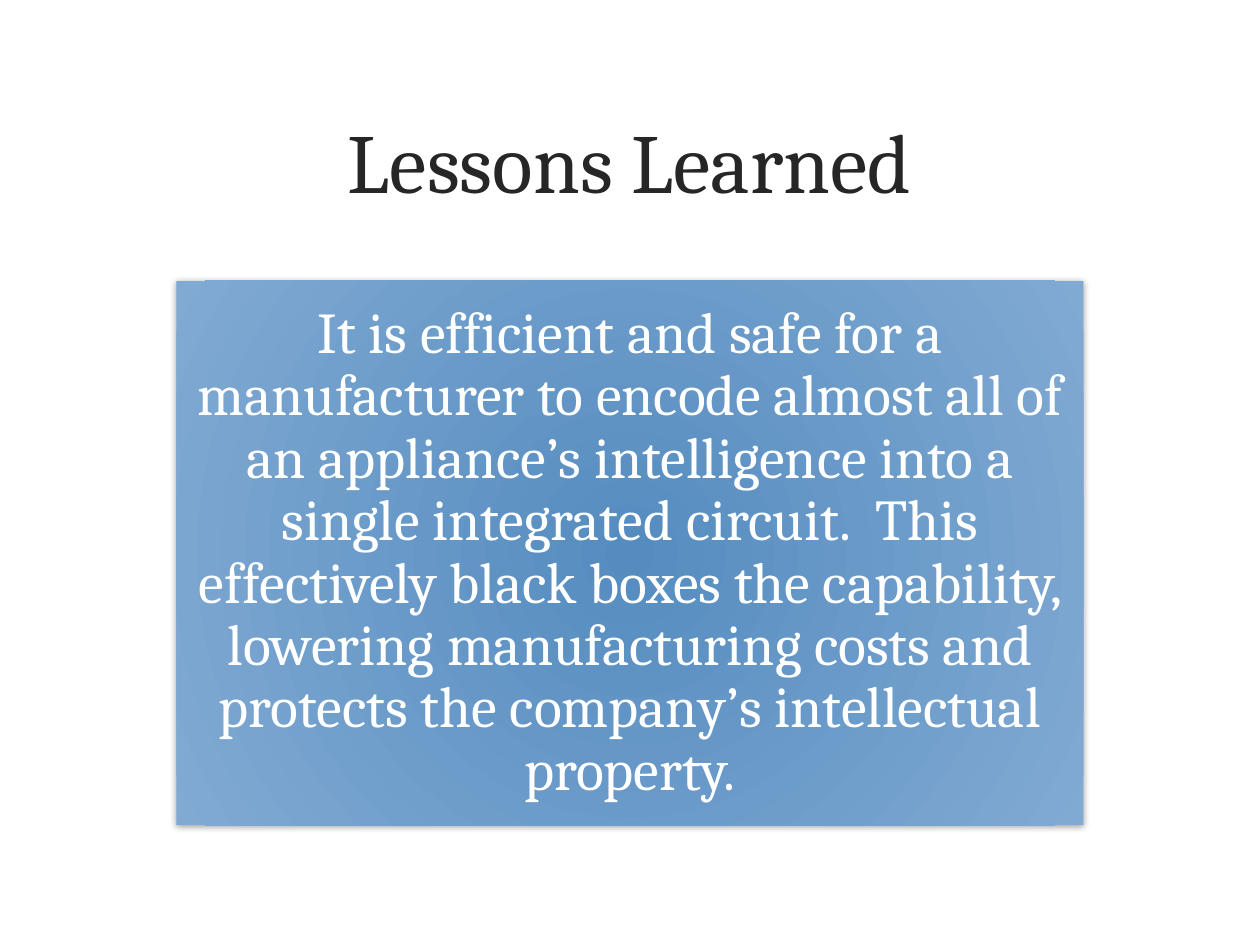
from dataclasses import dataclass

from lxml.etree import SubElement
from pptx import Presentation
from pptx.dml.color import RGBColor
from pptx.enum.shapes import MSO_SHAPE as Shape
from pptx.enum.text import MSO_ANCHOR as Anchor, PP_ALIGN as Align
from pptx.oxml.ns import qn
from pptx.util import Inches, Pt

COLORS = {
    "title": "262626",
    "body": "FFFFFF",
    "panel_center": "558CBF",
    "panel_edge": "81AAD3",
    "shadow": "000000",
}
FONT = "Cambria"


@dataclass
class TextBlock:
    text: str
    left: float
    top: float
    width: float
    height: float
    size: float
    color: str
    inset: float
    line_spacing: float = 1.0

    @property
    def bounds(self):
        return [Inches(n) for n in (self.left, self.top, self.width, self.height)]


TITLE = TextBlock("Lessons Learned", 0.6, 0.48, 8.79, 1.58, 48, "title", 0.1)
LESSON = TextBlock(
    "It is efficient and safe for a manufacturer to encode almost all of an "
    "appliance’s intelligence into a single integrated circuit.  This effectively "
    "black boxes the capability, lowering manufacturing costs and protects the "
    "company’s intellectual property.",
    1.4, 2.23, 7.2, 4.32, 33, "body", 0.14, 0.9,
)


def write_text(shape, block: TextBlock) -> None:
    frame = shape.text_frame
    frame.word_wrap = True
    frame.vertical_anchor = Anchor.MIDDLE
    frame.margin_left = frame.margin_right = Inches(block.inset)
    frame.margin_top = frame.margin_bottom = Inches(block.inset)
    paragraph = frame.paragraphs[0]
    paragraph.text = block.text
    paragraph.alignment = Align.CENTER
    paragraph.line_spacing = block.line_spacing
    paragraph.font.name = FONT
    paragraph.font.size = Pt(block.size)
    paragraph.font.color.rgb = RGBColor.from_string(COLORS[block.color])


def fill_radially(shape, center: str, edge: str) -> None:
    shape.fill.gradient()
    for stop, position, color in zip(shape.fill.gradient_stops, (0, 1), (center, edge)):
        stop.position = position
        stop.color.rgb = RGBColor.from_string(COLORS[color])
    gradient = shape._element.spPr.find(qn("a:gradFill"))
    gradient.remove(gradient.find(qn("a:lin")))
    path = SubElement(gradient, qn("a:path"), path="circle")
    SubElement(path, qn("a:fillToRect"), l="40000", t="100000", r="40000", b="100000")


def add_soft_shadow(shape) -> None:
    shape.shadow.inherit = False
    effects = shape._element.spPr.find(qn("a:effectLst"))
    shadow = SubElement(
        effects, qn("a:outerShdw"), blurRad=str(Pt(4)), dist=str(Pt(1)),
        dir="5400000", rotWithShape="0",
    )
    color = SubElement(shadow, qn("a:srgbClr"), val=COLORS["shadow"])
    SubElement(color, qn("a:alpha"), val="37000")


def main() -> None:
    presentation = Presentation()
    presentation.slide_width = Inches(10)
    presentation.slide_height = Inches(7.5)
    slide = presentation.slides.add_slide(presentation.slide_layouts[6])

    write_text(slide.shapes.add_textbox(*TITLE.bounds), TITLE)

    panel = slide.shapes.add_shape(Shape.RECTANGLE, *LESSON.bounds)
    fill_radially(panel, "panel_center", "panel_edge")
    panel.line.fill.background()
    add_soft_shadow(panel)
    write_text(panel, LESSON)

    presentation.save("out.pptx")


if __name__ == "__main__":
    main()
